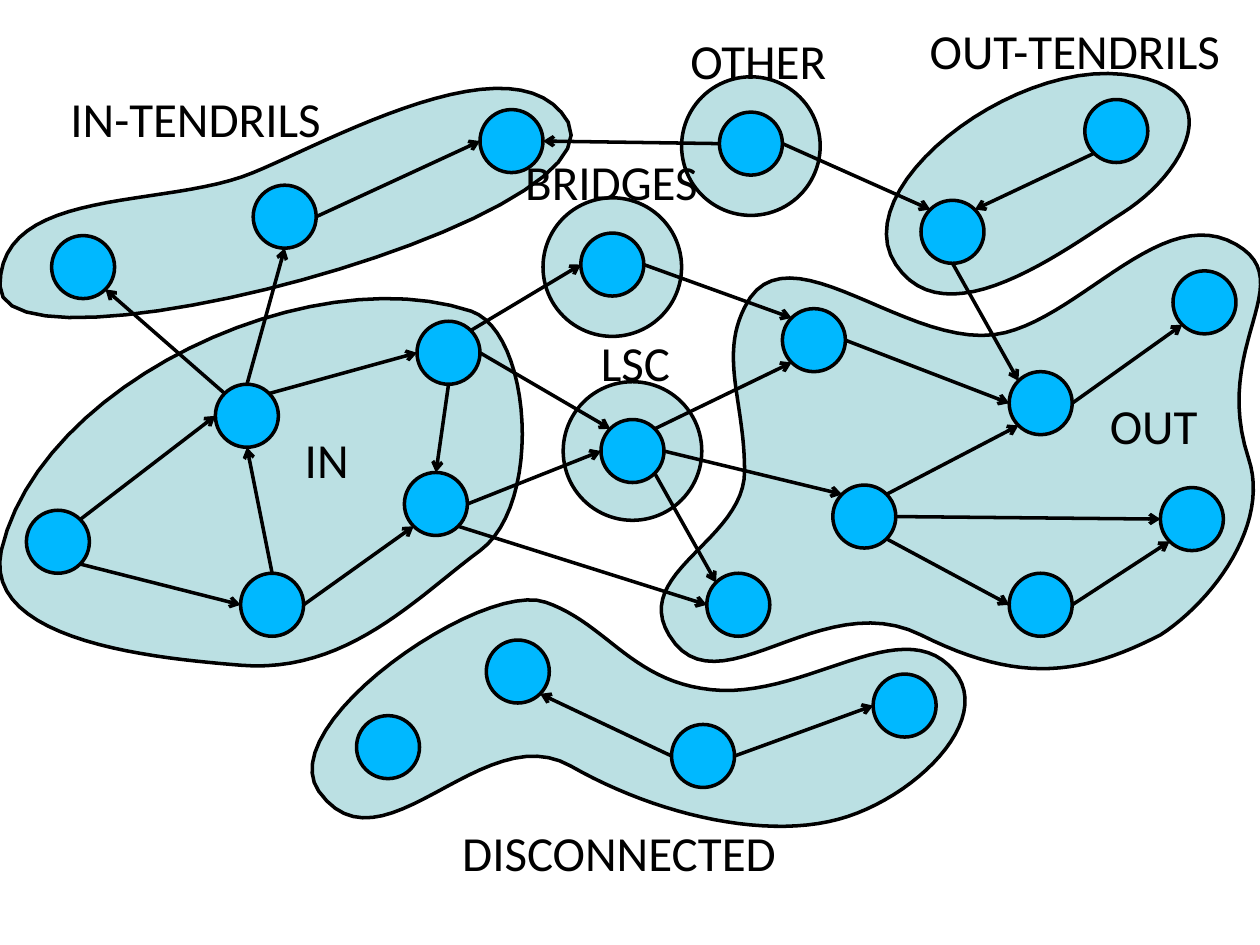
import math

import pptx
import pptx.dml.color
import pptx.enum.shapes
import pptx.enum.text
import pptx.util
from pptx.oxml.ns import qn
from pptx.util import Inches

RADIUS = 0.25
STEPS = 24  # line segments per curve
SITES = {"E": 0, "SE": 45, "S": 90, "SW": 135, "W": 180, "NW": 225, "N": 270, "NE": 315}


def rgb(value):
    return pptx.dml.color.RGBColor.from_string(value)


def style(s, fill):
    s.shadow.inherit = False
    s.fill.solid()
    s.fill.fore_color.rgb = rgb(fill)
    s.line.color.rgb = rgb("000000")
    s.line.width = pptx.util.Pt(2)


prs = pptx.Presentation()
prs.slide_width, prs.slide_height = Inches(10), Inches(7.5)
shapes = prs.slides.add_slide(prs.slide_layouts[6]).shapes

# Regions: a start point, then Bezier curves (two control points and an end point)
regions = [
    # Out-tendrils
    [(7.11, 2.1), (6.71, 1.5), (8.01, 0.49), (8.91, 0.59), (9.81, 0.69), (9.39, 1.39),
     (8.91, 1.69), (8.44, 1.99), (7.51, 2.7), (7.11, 2.1)],
    # In-tendrils
    [(2.01, 1.37), (2.6, 1.13), (4.11, 0.27), (4.51, 0.97), (4.91, 1.77), (0, 3.07),
     (0, 2.27), (0, 1.47), (1.32, 1.66), (2.01, 1.37)],
    # Disconnected
    [(4.33, 4.78), (4.83, 4.95), (5.03, 5.45), (5.73, 5.48), (6.43, 5.5), (7.13, 4.9),
     (7.53, 5.28), (7.93, 5.65), (7.33, 6.28), (6.73, 6.48), (6.13, 6.68), (5.23, 6.48),
     (4.53, 6.08), (3.83, 5.68), (3.03, 6.98), (2.53, 6.28), (2.16, 5.75), (3.83, 4.6),
     (4.33, 4.78)],
    # In
    [(3.74, 2.47), (4.22, 2.64), (4.31, 4), (3.81, 4.37), (3.31, 4.74), (2.75, 5.35),
     (1.91, 5.28), (1.31, 5.23), (-0.15, 5.11), (0.01, 4.37), (0.31, 3.05), (2.45, 2.04),
     (3.74, 2.47)],
    # Out
    [(5.91, 2.44), (5.71, 2.84), (5.91, 3.19), (5.91, 3.74), (5.91, 4.29), (5.01, 4.54),
     (5.31, 5.04), (5.69, 5.67), (6.51, 4.64), (7.31, 5.04), (8.11, 5.44), (8.6, 5.35),
     (9.21, 5.04), (9.64, 4.76), (10.08, 4.15), (9.91, 3.64), (9.61, 2.74), (10.33, 2.24),
     (9.81, 1.94), (9.24, 1.61), (8.61, 2.48), (7.98, 2.64), (7.24, 2.83), (6.24, 1.75),
     (5.91, 2.44)],
]
for points in regions:
    outline = []
    for i in range(0, len(points) - 1, 3):
        curve = points[i:i + 4]
        for step in range(1, STEPS + 1):
            t = step / STEPS
            weights = [(1 - t) ** 3, 3 * t * (1 - t) ** 2, 3 * t * t * (1 - t), t ** 3]
            outline.append([Inches(sum(w * pt[axis] for w, pt in zip(weights, curve)))
                            for axis in (0, 1)])
    builder = shapes.build_freeform(*outline[-1])
    builder.add_line_segments(outline[:-1], close=True)
    style(builder.convert_to_shape(), "BBE0E3")

# Round regions, then nodes, all given by their centres
halos = [(5.96, 1.16), (4.86, 2.12), (5.02, 3.58)]
nodes = {
    "lsc": (5.02, 3.58), "bridge": (4.86, 2.1), "other": (5.96, 1.14),
    "in1": (3.56, 2.8), "in2": (3.46, 4), "in3": (1.96, 3.3),
    "in4": (0.46, 4.3), "in5": (2.16, 4.8),
    "out1": (6.46, 2.7), "out2": (6.86, 4.1), "out3": (5.86, 4.8), "out4": (8.26, 3.2),
    "out5": (9.56, 2.4), "out6": (8.26, 4.8), "out7": (9.46, 4.12),
    "intendril1": (2.26, 1.72), "intendril2": (4.06, 1.12), "intendril3": (0.66, 2.12),
    "outtendril1": (8.86, 1.04), "outtendril2": (7.56, 1.84),
    "disc1": (5.58, 6), "disc2": (7.18, 5.6), "disc3": (4.11, 5.33), "disc4": (3.08, 5.93),
}
for centres, radius, fill in ((halos, 0.55, "BBE0E3"), (nodes.values(), RADIUS, "00B8FF")):
    for x, y in centres:
        s = shapes.add_shape(pptx.enum.shapes.MSO_SHAPE.OVAL, Inches(x - radius),
                             Inches(y - radius), Inches(2 * radius), Inches(2 * radius))
        style(s, fill)

# Arrows: node and side at the start, node and side at the end
arrows = """
lsc NE out1 SW
lsc E out2 NW
lsc SE out3 NW
in1 E lsc NW
in2 E lsc W
in2 SE out3 W
in1 NE bridge W
bridge E out1 NW
in3 NE in1 W
in1 S in2 N
in4 NE in3 W
in4 SE in5 W
in5 E in2 SW
in3 N intendril1 S
intendril1 E intendril2 W
out1 E out4 W
out4 E out5 SW
out2 SE out6 W
out2 NE out4 SW
out6 E out7 SW
disc1 E disc2 W
disc1 W disc3 SE
outtendril1 SW outtendril2 NE
outtendril2 S out4 NW
other W intendril2 E
other E outtendril2 NW
in3 NW intendril3 SE
out2 E out7 W
in5 N in3 S
"""
for arrow in arrows.strip().splitlines():
    start, start_side, end, end_side = arrow.split()
    ends = []
    for node, side in ((start, start_side), (end, end_side)):
        angle = math.radians(SITES[side])
        x, y = nodes[node]
        ends += [Inches(x + RADIUS * math.cos(angle)), Inches(y + RADIUS * math.sin(angle))]
    s = shapes.add_connector(pptx.enum.shapes.MSO_CONNECTOR.STRAIGHT, *ends)
    s.line.color.rgb = rgb("000000")
    s.line.width = pptx.util.Pt(2)
    tail = s.line._get_or_add_ln().makeelement(qn("a:tailEnd"), {"type": "arrow"})
    s.line._get_or_add_ln().append(tail)
    sp_pr = s._element.spPr
    sp_pr.append(sp_pr.makeelement(qn("a:effectLst"), {}))

# Labels
labels = [
    ("LSC", 4.67, 2.59, 0.75), ("OUT", 8.71, 3.09, 0.9), ("IN", 2.32, 3.36, 0.55),
    ("DISCONNECTED", 3.57, 6.48, 2.72), ("IN-TENDRILS", 0.46, 0.65, 2.21),
    ("OUT-TENDRILS", 7.28, 0.11, 2.56), ("OTHER", 5.38, 0.19, 1.29),
    ("BRIDGES", 4.07, 1.15, 1.58),
]
for text, x, y, width in labels:
    tf = shapes.add_textbox(Inches(x), Inches(y), Inches(width), Inches(0.58)).text_frame
    tf.word_wrap = False
    tf.auto_size = pptx.enum.text.MSO_AUTO_SIZE.SHAPE_TO_FIT_TEXT
    tf.text = text
    r = tf.paragraphs[0].runs[0]
    r.font.name = "Calibri"
    r.font.size = pptx.util.Pt(28)
    r.font.color.rgb = rgb("000000")

prs.save("out.pptx")
